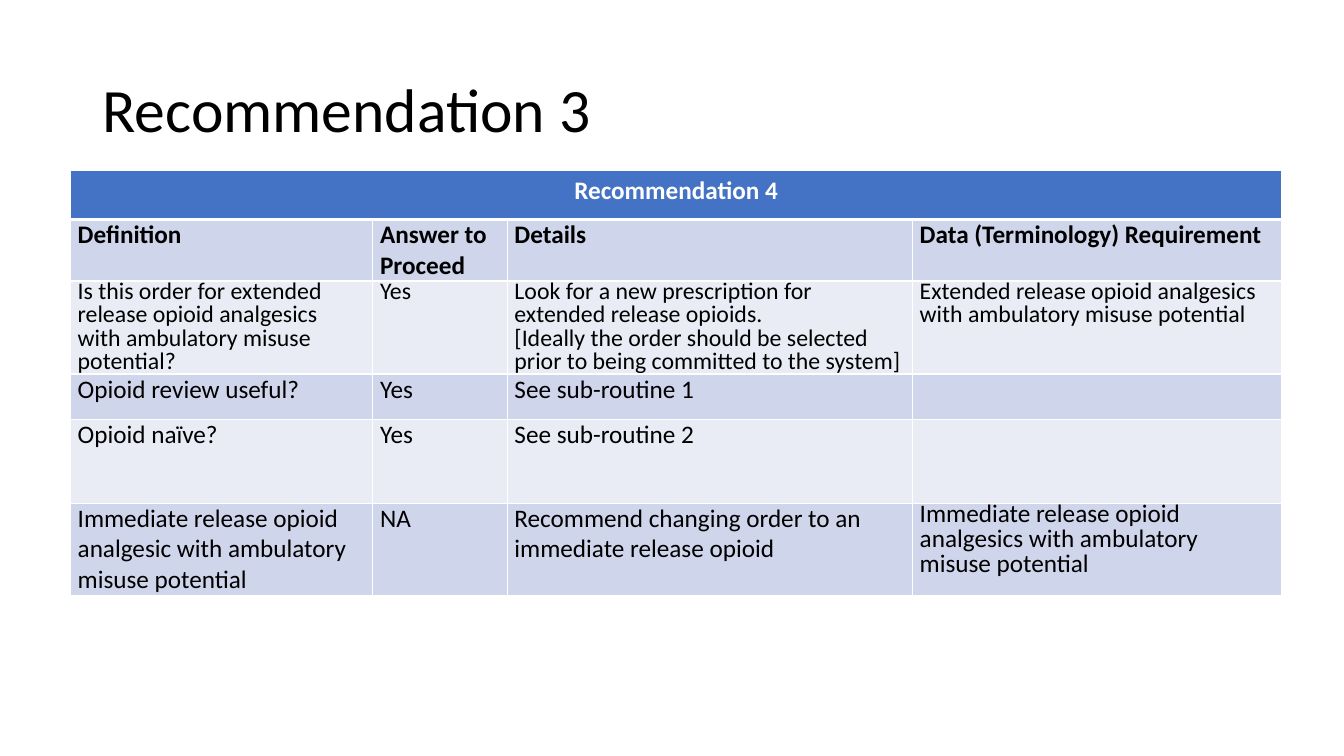
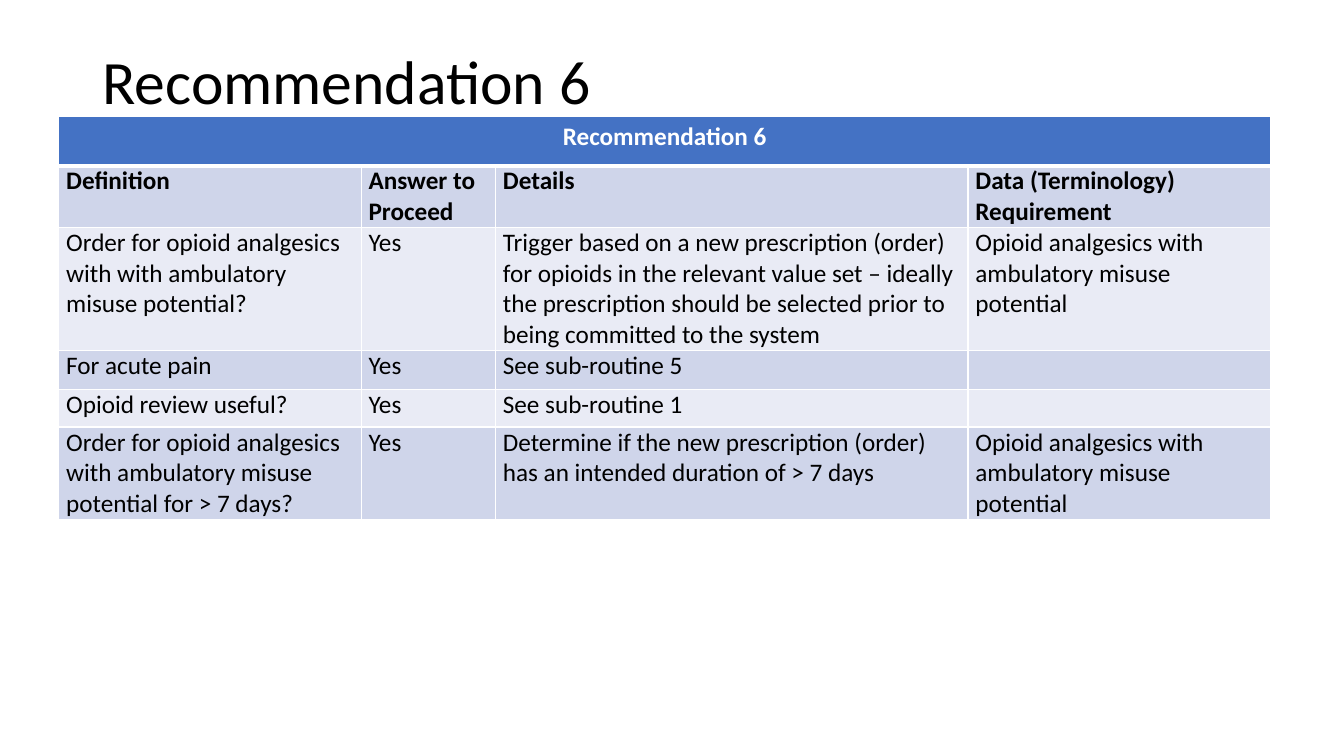
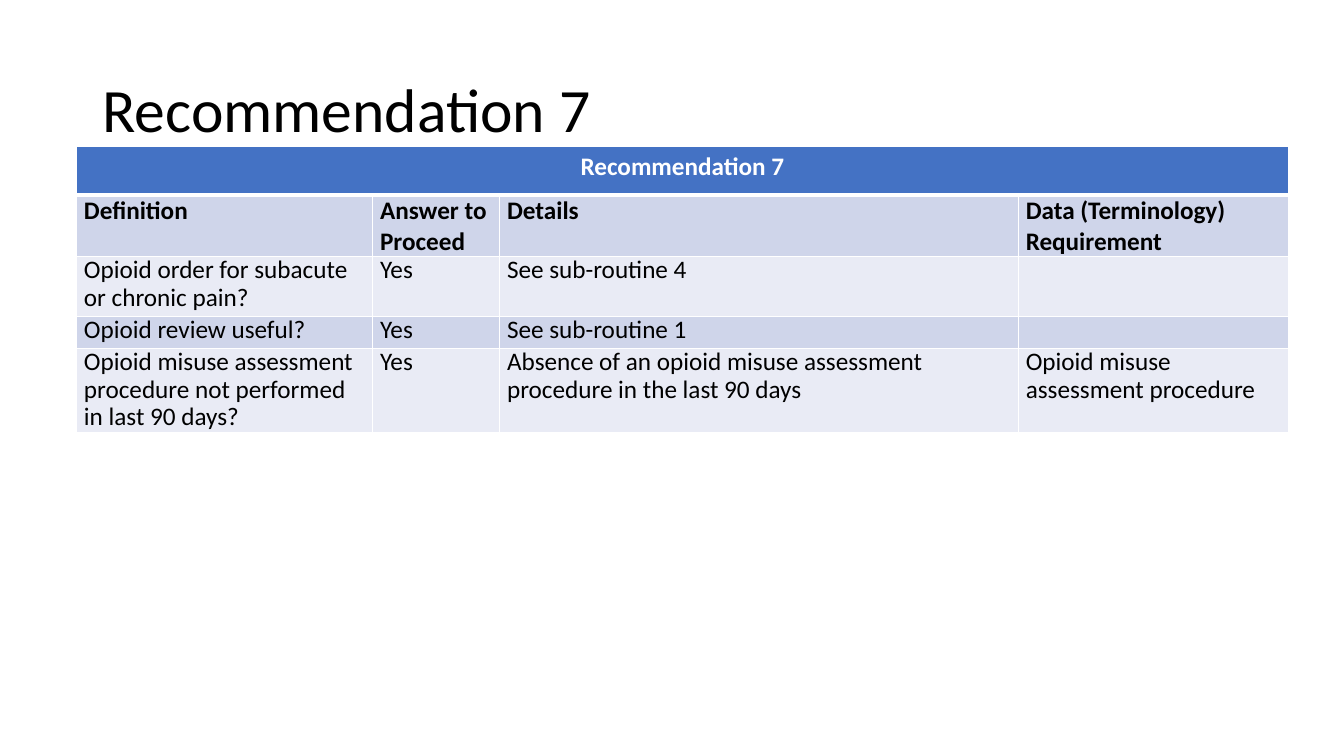
from pptx import Presentation
from pptx import util as u
from pptx.dml.color import RGBColor
from pptx.enum import text
from pptx.oxml import parse_xml
from pptx.oxml.ns import nsdecls

PX = 9525
FONT = "Calibri"
BLACK = RGBColor(0x00, 0x00, 0x00)
WHITE = RGBColor(0xFF, 0xFF, 0xFF)
BLUE = RGBColor(0x44, 0x72, 0xC4)
DARK = RGBColor(0xCF, 0xD5, 0xEA)
LIGHT = RGBColor(0xE9, 0xEB, 0xF5)
HEADS = ["Definition", "Answer to Proceed", "Details",
         "Data (Terminology) Requirement"]


class Deck:
    """Holds the shared style and the slide being built."""

    def __init__(self):
        self.prs = Presentation()
        self.prs.slide_width = 1280 * PX
        self.prs.slide_height = 720 * PX
        self.slide = None

    def page(self, title, top):
        self.slide = self.prs.slides.add_slide(self.prs.slide_layouts[5])
        shape = self.slide.shapes.title
        shape.left, shape.top = 88 * PX, top * PX
        shape.width, shape.height = 1104 * PX, 139 * PX
        frame = shape.text_frame
        frame.text = title
        frame.word_wrap = True
        frame.auto_size = text.MSO_AUTO_SIZE.NONE
        frame.vertical_anchor = text.MSO_ANCHOR.MIDDLE
        self.style(frame, 44, BLACK)
        frame.paragraphs[0].line_spacing = 0.9

    def style(self, frame, size, color, bold=False, align=text.PP_ALIGN.LEFT):
        for para in frame.paragraphs:
            para.alignment = align
            for run in para.runs:
                font = run.font
                font.name, font.size = FONT, u.Pt(size)
                font.bold, font.color.rgb = bold, color

    def edge(self, cell, **widths):
        props = cell._tc.get_or_add_tcPr()
        for side in "LRTB":
            width = u.Pt(widths.get(side, 1))
            props.append(parse_xml(
                f'<a:ln{side} {nsdecls("a")} w="{width}"><a:solidFill>'
                f'<a:srgbClr val="{WHITE}"/></a:solidFill></a:ln{side}>'))

    def fill(self, cell, color):
        cell.fill.solid()
        cell.fill.fore_color.rgb = color

    def grid(self, left, top, cols, rows, name, body):
        frame = self.slide.shapes.add_table(
            len(rows), len(cols), left * PX, top * PX,
            sum(cols) * PX, sum(rows) * PX)
        table = frame.table
        for col, width in zip(table.columns, cols):
            col.width = width * PX
        for row, height in zip(table.rows, rows):
            row.height = height * PX
        self.banner(table, name)
        for r, words in enumerate([HEADS] + body, 1):
            for c, word in enumerate(words):
                cell = table.cell(r, c)
                cell.text_frame.text = word
                cell.margin_left = cell.margin_right = 7 * PX
                cell.margin_top = cell.margin_bottom = 0
                self.edge(cell, T=3 if r == 1 else 1)
                self.fill(cell, DARK if r % 2 else LIGHT)
                self.style(cell.text_frame, 18, BLACK, bold=r == 1)
        return table

    def banner(self, table, name):
        for cell in table.rows[0].cells:
            self.edge(cell, B=3)
            self.fill(cell, BLUE)
        head = table.cell(0, 0)
        head.merge(table.cell(0, len(table.columns) - 1))
        head.text_frame.text = name
        self.style(head.text_frame, 18, WHITE, True, text.PP_ALIGN.CENTER)

    def pack(self, cells, gap, size=18):
        for cell in cells:
            self.style(cell.text_frame, size, BLACK)
            for para in cell.text_frame.paragraphs:
                para.line_spacing = gap


def main():
    deck = Deck()

    deck.page("Recommendation 3", 38)
    table = deck.grid(
        67, 162, [288, 128, 386, 352], [47, 37, 57, 43, 80, 80],
        "Recommendation 4", [
            ["Is this order for extended release opioid analgesics with "
             "ambulatory misuse potential?", "Yes",
             "Look for a new prescription for extended release opioids.\n"
             "[Ideally the order should be selected prior to being "
             "committed to the system]",
             "Extended release opioid analgesics with ambulatory misuse "
             "potential"],
            ["Opioid review useful?", "Yes", "See sub-routine 1", ""],
            ["Opioid naïve?", "Yes", "See sub-routine 2", ""],
            ["Immediate release opioid analgesic with ambulatory misuse "
             "potential", "NA",
             "Recommend changing order to an immediate release opioid",
             "Immediate release opioid analgesics with ambulatory misuse "
             "potential"]])
    deck.pack(table.rows[2].cells, 0.8, 17)
    deck.pack([table.cell(5, 3)], 0.8)

    deck.page("Recommendation 6", 11)
    need = "Opioid analgesics with ambulatory misuse potential"
    deck.grid(
        56, 111, [288, 128, 450, 288], [47, 27, 57, 37, 36, 80],
        "Recommendation 6", [
            ["Order for opioid analgesics with with ambulatory misuse "
             "potential?", "Yes",
             "Trigger based on a new prescription (order) for opioids in "
             "the relevant value set – ideally the prescription should be "
             "selected prior to being committed to the system", need],
            ["For acute pain", "Yes", "See sub-routine 5", ""],
            ["Opioid review useful?", "Yes", "See sub-routine 1", ""],
            ["Order for opioid analgesics with ambulatory misuse potential "
             "for > 7 days?", "Yes",
             "Determine if the new prescription (order) has an intended "
             "duration of > 7 days", need]])

    deck.page("Recommendation 7", 38)
    table = deck.grid(
        73, 139, [282, 121, 494, 257], [47, 27, 57, 30, 80],
        "Recommendation 7", [
            ["Opioid order for subacute or chronic pain?", "Yes",
             "See sub-routine 4", ""],
            ["Opioid review useful?", "Yes", "See sub-routine 1", ""],
            ["Opioid misuse assessment procedure not performed in last 90 "
             "days?", "Yes",
             "Absence of an opioid misuse assessment procedure in the last "
             "90 days", "Opioid misuse assessment procedure"]])
    for r in range(2, 5):
        deck.pack(table.rows[r].cells, 0.9)

    deck.prs.save("out.pptx")


if __name__ == "__main__":
    main()
